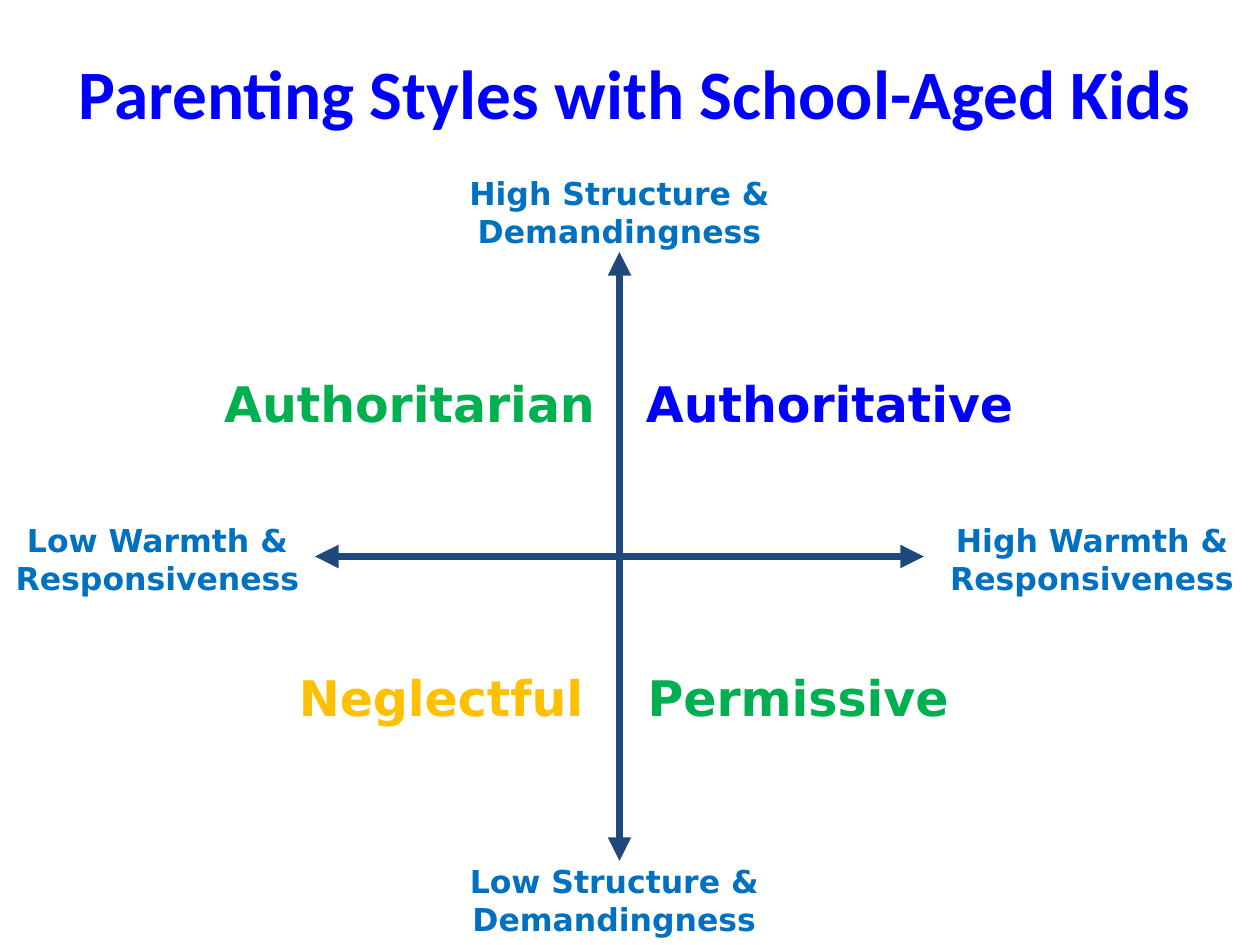
from lxml import etree
from pptx import Presentation, util as u
from pptx.dml.color import RGBColor
from pptx.enum import shapes, text
from pptx.oxml.ns import qn

BLUE = RGBColor(0x00, 0x00, 0xFF)
NAVY = RGBColor(0x1F, 0x49, 0x7D)
AZURE = RGBColor(0x00, 0x70, 0xC0)
GREEN = RGBColor(0x00, 0xB0, 0x50)
GOLD = RGBColor(0xFF, 0xC0, 0x00)

deck = Presentation()
deck.slide_width, deck.slide_height = u.Inches(10), u.Inches(7.5)
UNIT = deck.slide_width / 120  # grid of 120 columns by 90 rows
slide = deck.slides.add_slide(deck.slide_layouts[5])


def grid(*cells):
    return [round(n * UNIT) for n in cells]


def write(frame, lines, font, size, color):
    frame.word_wrap = True
    for i, line in enumerate(lines):
        para = frame.paragraphs[0] if i == 0 else frame.add_paragraph()
        para.alignment = text.PP_ALIGN.CENTER
        run = para.add_run()
        run.text = line
        run.font.name, run.font.size = font, u.Pt(size)
        run.font.bold = True
        run.font.color.rgb = color


title = slide.shapes.title
title.left, title.top, title.width, title.height = grid(5, 3, 111, 11.4)
title.text_frame.vertical_anchor = text.MSO_ANCHOR.MIDDLE
write(title.text_frame, ["Parenting Styles with School-Aged Kids"], "Calibri", 39.6, BLUE)

# Axes cross at column 59, row 53
MID_X, MID_Y, ARM = 59, 53, 29
axes = [
    (MID_X, MID_Y - ARM, MID_X, MID_Y + ARM),
    (MID_X - ARM, MID_Y, MID_X + ARM, MID_Y),
]
for ends in axes:
    axis = slide.shapes.add_connector(shapes.MSO_CONNECTOR.STRAIGHT, *grid(*ends))
    axis.line.color.rgb = NAVY
    axis.line.width = u.Pt(4.5)
    for tip in ("a:headEnd", "a:tailEnd"):
        etree.SubElement(axis.line._get_or_add_ln(), qn(tip), type="triangle")
    etree.SubElement(axis._element.spPr, qn("a:effectLst"))

# Column, row, width, height, lines, size, colour
labels = [
    (43, 16, 32, 8.5, ["High Structure &", "Demandingness"], 18, AZURE),
    (43, 81.5, 31, 8.5, ["Low Structure &", "Demandingness"], 18, AZURE),
    (88, 49, 32, 8.5, ["High Warmth &", "Responsiveness"], 18, AZURE),
    (0, 49, 30, 8.5, ["Low Warmth &", "Responsiveness"], 18, AZURE),
    (MID_X, 35, 40, 6.8, ["Authoritative"], 28, BLUE),
    (MID_X - 40, 35, 40, 6.8, ["Authoritarian"], 28, GREEN),
    (MID_X, 63, 34, 6.8, ["Permissive"], 28, GREEN),
    (MID_X - 34, 63, 34, 6.8, ["Neglectful"], 28, GOLD),
]
for *place, lines, size, color in labels:
    box = slide.shapes.add_textbox(*grid(*place))
    box.text_frame.auto_size = text.MSO_AUTO_SIZE.SHAPE_TO_FIT_TEXT
    write(box.text_frame, lines, "DejaVu Sans", size, color)

deck.save("out.pptx")
